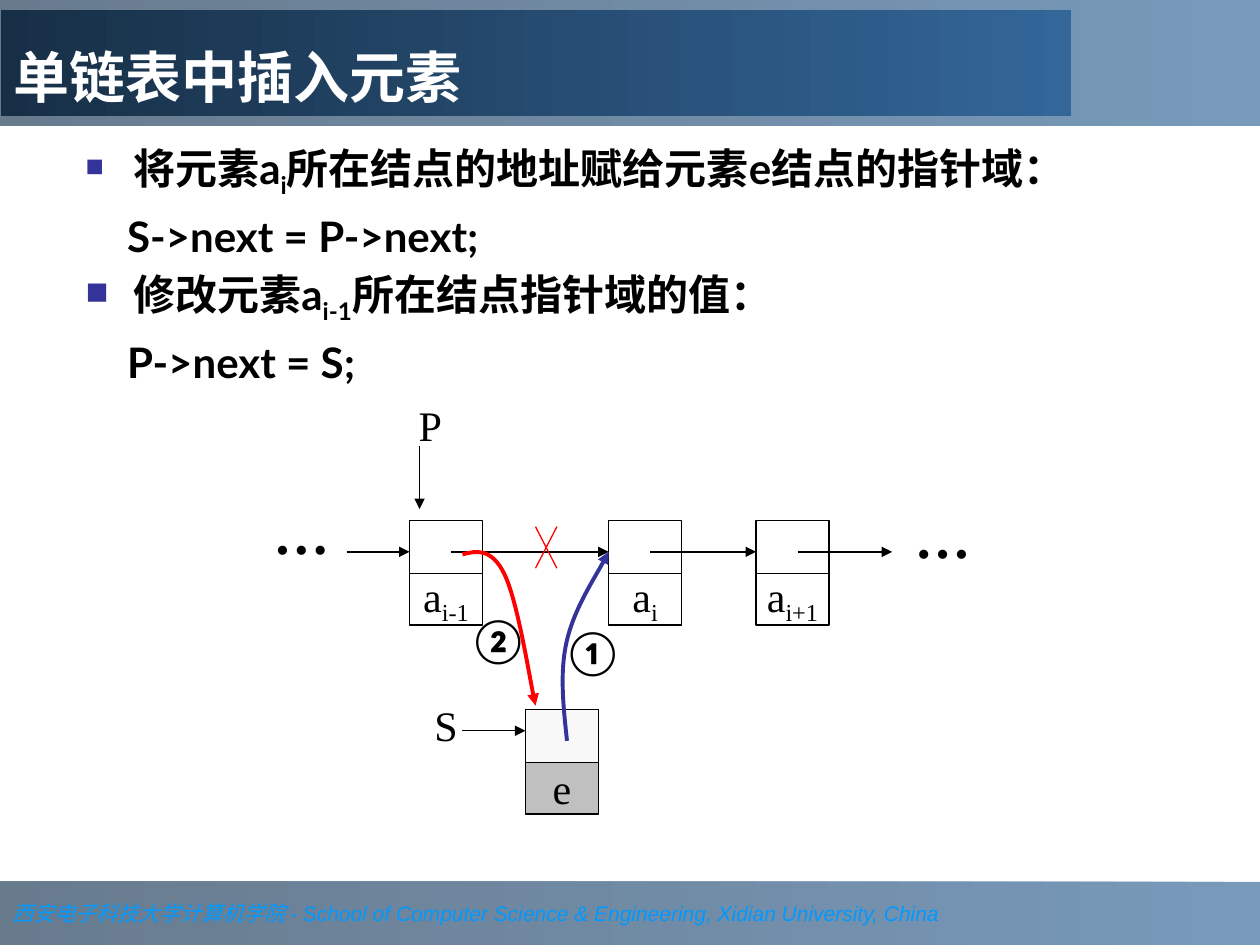
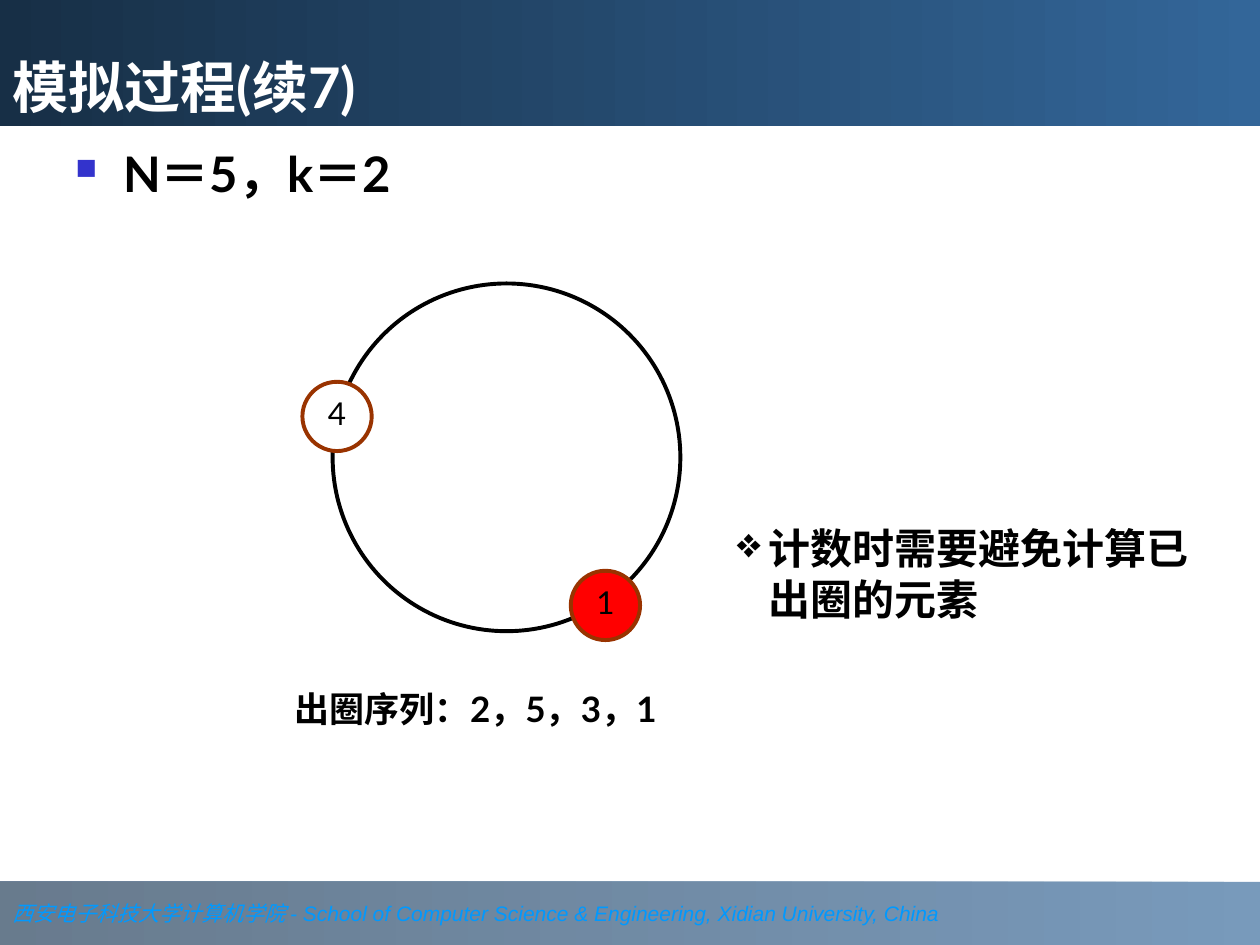
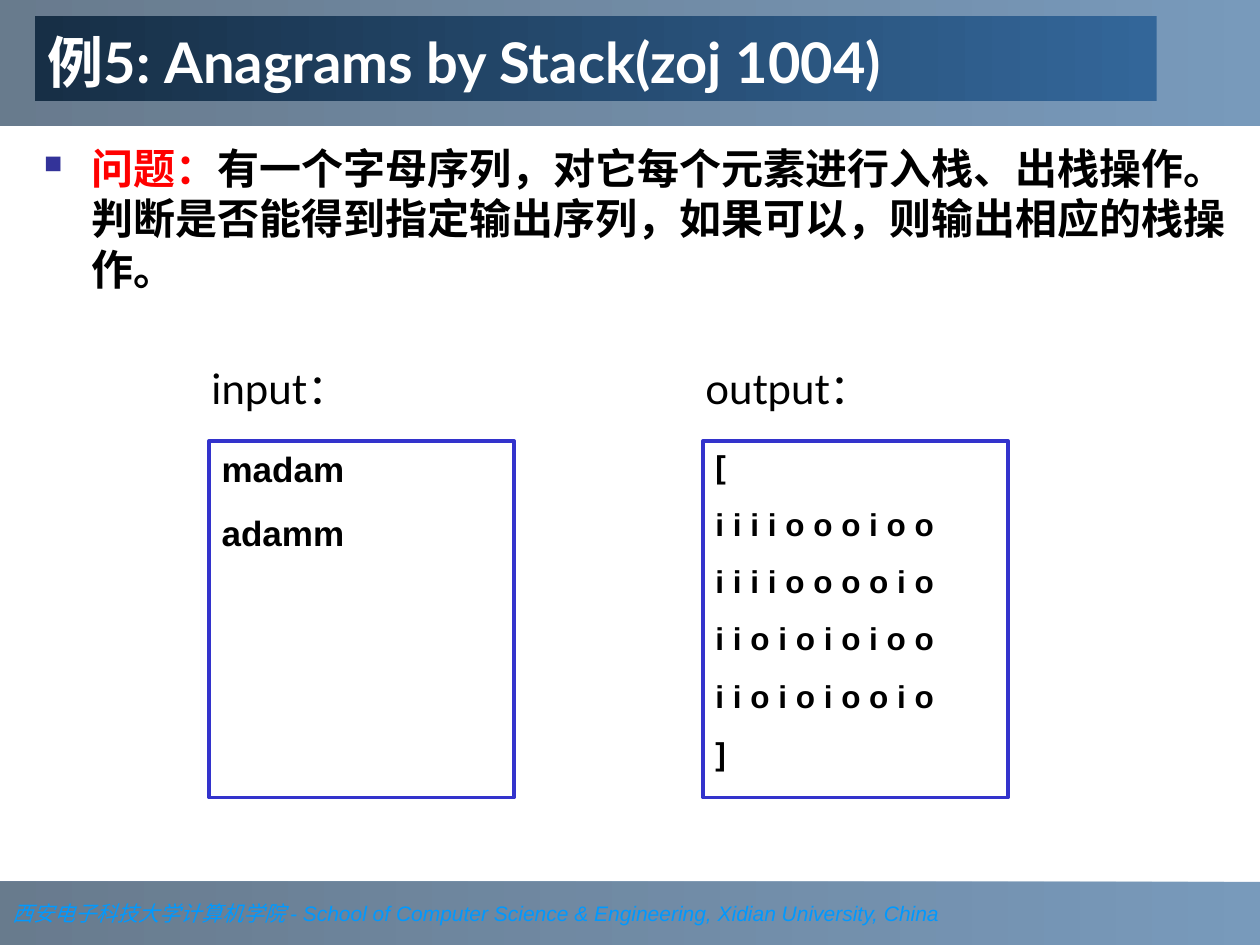
"""Build three data-structure slides: list insertion, a counting circle and a stack exercise."""

from dataclasses import dataclass
from typing import NamedTuple, Optional

from lxml import etree
from pptx import Presentation
from pptx.dml.color import RGBColor
from pptx.enum.shapes import MSO_CONNECTOR, MSO_SHAPE
from pptx.enum.text import MSO_ANCHOR, PP_ALIGN
from pptx.oxml.ns import qn
from pptx.util import Inches, Pt

RECT, OVAL = MSO_SHAPE.RECTANGLE, MSO_SHAPE.OVAL
STRAIGHT = MSO_CONNECTOR.STRAIGHT
TOP, MIDDLE, BOTTOM = MSO_ANCHOR.TOP, MSO_ANCHOR.MIDDLE, MSO_ANCHOR.BOTTOM
LEFT, CENTER = PP_ALIGN.LEFT, PP_ALIGN.CENTER


@dataclass(frozen=True)
class Theme:
    """Colours, fonts, type sizes and line widths of the deck."""

    ink: str = "000000"
    white: str = "FFFFFF"
    band_light: str = "336699"
    band_dark: str = "1B3753"
    title_dark: str = "172F46"
    footer: str = "0099FF"
    indigo: str = "333399"
    blue: str = "3333CC"
    red: str = "FF0000"
    brown: str = "993300"
    new_pointer: str = "F8F8F8"
    new_data: str = "C0C0C0"
    sans: str = "Lato"
    serif: str = "Times New Roman"
    mono_like: str = "Arial"
    title_size: int = 32
    lead_size: int = 28
    body_size: int = 24
    note_size: int = 20
    small_size: int = 18
    footer_size: int = 12
    thin: float = 0.75
    thick: float = 2.25
    band_opacity: int = 66


THEME = Theme()


class Box(NamedTuple):
    """Left, top, width and height in inches."""

    left: float
    top: float
    width: float
    height: float


class Point(NamedTuple):
    """A position in inches."""

    x: float
    y: float


@dataclass(frozen=True)
class Style:
    """Type style of a block of text."""

    size: int = THEME.body_size
    font: str = THEME.sans
    bold: bool = False
    italic: bool = False
    color: str = THEME.ink


@dataclass(frozen=True)
class Span:
    """A stretch of text with its departures from the block style."""

    text: str
    color: Optional[str] = None
    font: Optional[str] = None
    baseline: int = 0


@dataclass(frozen=True)
class Bullet:
    """A bullet sign with its colour and size in percent."""

    color: str
    percent: int = 60
    sign: str = "■"


@dataclass(frozen=True)
class Para:
    """A paragraph with its bullet, indents and spacing."""

    spans: tuple[Span, ...]
    bullet: Optional[Bullet] = None
    margin: float = 0
    hanging: float = 0
    before: float = 0
    spacing: float = 1
    align: PP_ALIGN = LEFT


TITLE = Style(THEME.title_size, bold=True, color=THEME.white)
BODY = Style(bold=True)
LEAD = Style(THEME.lead_size, bold=True)
NOTE = Style(THEME.note_size, bold=True)
LABEL = Style()
SERIF = Style(font=THEME.serif)
SERIF_BOLD = Style(font=THEME.serif, bold=True)
DOTS = Style(THEME.title_size, THEME.serif, bold=True)
PERSON = Style(THEME.small_size)
FOOTER = Style(THEME.footer_size, THEME.serif, italic=True, color=THEME.footer)


def plain(text: str, **options) -> Para:
    """Return a paragraph of one span."""
    return Para((Span(text),), **options)


def item(*spans: Span, bullet: Bullet) -> Para:
    """Return a bulleted body paragraph."""
    return Para(spans, bullet, margin=0.38, hanging=0.38)


def place(box: Box) -> list[Inches]:
    """Return a box as lengths."""
    return [Inches(side) for side in box]


def add_bullet(paragraph, bullet: Bullet) -> None:
    """Give a paragraph a coloured bullet."""
    props = paragraph._p.get_or_add_pPr()
    color = etree.SubElement(props, qn("a:buClr"))
    etree.SubElement(color, qn("a:srgbClr"), val=bullet.color)
    etree.SubElement(props, qn("a:buSzPct"), val=str(bullet.percent * 1000))
    etree.SubElement(props, qn("a:buChar"), char=bullet.sign)


def write(shape, paras: list[Para], style: Style, anchor=TOP, wrap: bool = True,
          inset: tuple[float, float] = (0.1, 0.05)) -> None:
    """Fill a shape with styled paragraphs."""
    frame = shape.text_frame
    frame.word_wrap = wrap
    frame.vertical_anchor = anchor
    frame.margin_left = frame.margin_right = Inches(inset[0])
    frame.margin_top = frame.margin_bottom = Inches(inset[1])
    for index, para in enumerate(paras):
        paragraph = frame.add_paragraph() if index else frame.paragraphs[0]
        paragraph.alignment = para.align
        paragraph.line_spacing = para.spacing
        if index:
            paragraph.space_before = Pt(para.before)
        props = paragraph._p.get_or_add_pPr()
        props.set("marL", str(Inches(para.margin)))
        props.set("indent", str(Inches(-para.hanging)))
        if para.bullet:
            add_bullet(paragraph, para.bullet)
        for span in para.spans:
            run = paragraph.add_run()
            run.text = span.text
            run.font.size = Pt(style.size)
            run.font.name = span.font or style.font
            run.font.bold = style.bold
            run.font.italic = style.italic
            run.font.color.rgb = RGBColor.from_string(span.color or style.color)
            if span.baseline:
                run._r.get_or_add_rPr().set("baseline", str(span.baseline * 1000))


def add_text(slide, box: Box, paras: list[Para], style: Style, **options) -> None:
    """Add a text box."""
    write(slide.shapes.add_textbox(*place(box)), paras, style, **options)


def set_line(shape, color: str, width: float, arrow: bool = False) -> None:
    """Set a line's colour, width and arrowhead."""
    shape.line.color.rgb = RGBColor.from_string(color)
    shape.line.width = Pt(width)
    if arrow:
        outline = next(shape.element.iter(qn("a:ln")))
        etree.SubElement(outline, qn("a:tailEnd"), type="triangle")


def add_outlined(slide, kind: MSO_SHAPE, box: Box, fill: Optional[str],
                 line: str, width: float):
    """Add an outlined shape, hollow when it has no fill."""
    shape = slide.shapes.add_shape(kind, *place(box))
    shape.shadow.inherit = False
    if fill:
        shape.fill.solid()
        shape.fill.fore_color.rgb = RGBColor.from_string(fill)
    else:
        shape.fill.background()
    set_line(shape, line, width)
    return shape


def add_band(slide, box: Box, dark: str, opacity: int = 100):
    """Add a band that runs from dark on the left to light on the right."""
    band = slide.shapes.add_shape(RECT, *place(box))
    band.shadow.inherit = False
    band.line.fill.background()
    band.fill.gradient()
    band.fill.gradient_angle = 180
    for stop, color in zip(band.fill.gradient_stops, (THEME.band_light, dark)):
        stop.color.rgb = RGBColor.from_string(color)
    if opacity < 100:
        for color in band.element.spPr.iter(qn("a:srgbClr")):
            etree.SubElement(color, qn("a:alpha"), val=str(opacity * 1000))
    return band


def add_line(slide, start: Point, end: Point, color: str = THEME.ink,
             arrow: bool = True) -> None:
    """Add a thin straight line, with an arrowhead unless told otherwise."""
    line = slide.shapes.add_connector(STRAIGHT, *place(start + end))
    set_line(line, color, THEME.thin, arrow)
    etree.SubElement(line.element.spPr, qn("a:effectLst"))


def add_curve(slide, points: list[Point], color: str) -> None:
    """Add a curved arrow from a start point and triples of Bezier points."""
    start, *controls = [(Inches(p.x), Inches(p.y)) for p in points]
    builder = slide.shapes.build_freeform(*start)
    builder.add_line_segments(controls, close=False)
    curve = builder.convert_to_shape()
    curve.shadow.inherit = False
    curve.fill.background()
    outline = next(curve.element.iter(qn("a:path")))
    steps = outline.findall(qn("a:lnTo"))
    for first in range(0, len(steps), 3):
        bezier = etree.SubElement(outline, qn("a:cubicBezTo"))
        for step in steps[first:first + 3]:
            bezier.append(step[0])
            outline.remove(step)
    set_line(curve, color, THEME.thick, arrow=True)


def new_slide(deck, title: str, title_box: Box):
    """Add a slide with its footer, top band and title."""
    slide = deck.slides.add_slide(deck.slide_layouts[6])
    footer = add_band(slide, Box(0, 7, 10, 0.5), THEME.band_dark, THEME.band_opacity)
    school = Para((
        Span("西安电子科技大学计算机学院 "),
        Span("- School of Computer Science & Engineering, Xidian University, China",
             font=THEME.mono_like),
    ))
    write(footer, [school], FOOTER, anchor=MIDDLE)
    add_band(slide, Box(0, 0, 10, 1), THEME.band_dark, THEME.band_opacity)
    heading = add_band(slide, title_box, THEME.title_dark)
    write(heading, [plain(title)], TITLE, anchor=BOTTOM)
    return slide


def add_node(slide, corner: Point, label: tuple[Span, ...],
             pointer_fill: str = THEME.white, data_fill: str = THEME.white) -> None:
    """Add a list node: a pointer cell above a data cell."""
    width, height, step = 0.58, 0.42, 0.41
    data = add_outlined(slide, RECT, Box(corner.x, corner.y + step, width, height),
                        data_fill, THEME.ink, THEME.thin)
    write(data, [Para(label, align=CENTER)], SERIF, anchor=MIDDLE, wrap=False)
    add_outlined(slide, RECT, Box(*corner, width, height),
                 pointer_fill, THEME.ink, THEME.thin)


def build_insertion(deck) -> None:
    """Build the slide on inserting into a linked list."""
    slide = new_slide(deck, "单链表中插入元素", Box(0.01, 0.08, 8.49, 0.84))
    steps = [
        ("将元素a", "i", "所在结点的地址赋给元素e结点的指针域：", "S->next = P->next;", 60),
        ("修改元素a", "i-1", "所在结点指针域的值：", "P->next = S;", 75),
    ]
    for index, (before, subscript, after, code, percent) in enumerate(steps):
        sentence = item(Span(before), Span(subscript, baseline=-25), Span(after),
                        bullet=Bullet(THEME.indigo, percent))
        add_text(slide, Box(0.58, 1.08 + index, 8.82, 1.08),
                 [sentence, plain(code, margin=0.33, before=6)], BODY)

    node_top, link_y, link_offset = 4.13, 4.38, 0.33
    nodes = {"i-1": 3.25, "i": 4.83, "i+1": 6.0}
    for subscript, left in nodes.items():
        add_node(slide, Point(left, node_top),
                 (Span("a"), Span(subscript, baseline=-20)))
    lefts = list(nodes.values())
    starts = [2.75] + [left + link_offset for left in lefts]
    for start, end in zip(starts, lefts + [7.08]):
        add_line(slide, Point(start, link_y), Point(end, link_y))
    for left, top in ((1.58, 3.96), (6.67, 3.99)):
        add_text(slide, Box(left, top, 1.17, 0.53), [plain("…", margin=0.59)],
                 DOTS, inset=(0, 0))

    add_node(slide, Point(4.17, 5.63), (Span("e"),), THEME.new_pointer, THEME.new_data)
    for name, box in (("P", Box(3, 3.17, 0.83, 0.46)), ("S", Box(3.25, 5.55, 0.58, 0.46))):
        add_text(slide, box, [plain(name, spacing=0.9, align=CENTER)], SERIF)
    add_line(slide, Point(3.33, 3.54), Point(3.33, 4.04))
    add_line(slide, Point(3.67, 5.8), Point(4.17, 5.8))

    add_curve(slide, [Point(4.5, 5.88), Point(4.47, 5.6), Point(4.44, 5.33),
                      Point(4.5, 5.08), Point(4.56, 4.83), Point(4.78, 4.49),
                      Point(4.83, 4.38)], THEME.indigo)
    add_curve(slide, [Point(3.67, 4.4), Point(3.78, 4.37), Point(3.9, 4.35),
                      Point(4, 4.55), Point(4.1, 4.75), Point(4.21, 5.42),
                      Point(4.25, 5.6)], THEME.red)
    for start_x, end_x in ((4.42, 4.25), (4.25, 4.42)):
        add_line(slide, Point(start_x, 4.18), Point(end_x, 4.51), THEME.red, arrow=False)
    for number, box in (("②", Box(3.67, 4.83, 0.58, 0.5)), ("①", Box(4.42, 4.92, 0.5, 0.5))):
        add_text(slide, box, [plain(number)], BODY)


def build_circle(deck) -> None:
    """Build the slide on the counting-out circle."""
    slide = new_slide(deck, "模拟过程(续7)", Box(0, 0, 10, 1))
    add_text(slide, Box(0.5, 1.09, 9, 0.92),
             [item(Span("N＝5，k＝2"), bullet=Bullet(THEME.blue))], LEAD)
    add_outlined(slide, OVAL, Box(2.64, 2.25, 2.76, 2.76), None, THEME.ink, THEME.thick)
    people = [("1", Point(4.53, 4.53), THEME.red), ("4", Point(2.4, 3.03), THEME.white)]
    for number, corner, fill in people:
        person = add_outlined(slide, OVAL, Box(*corner, 0.55, 0.55), fill,
                              THEME.brown, THEME.thick)
        write(person, [plain(number, spacing=0.8, align=CENTER)], PERSON,
              anchor=MIDDLE, wrap=False)
    add_text(slide, Box(2.24, 5.47, 3.62, 0.37),
             [plain("出圈序列：2，5，3，1", spacing=0.8)], NOTE)
    reminder = plain("计数时需要避免计算已出圈的元素", margin=0.25, hanging=0.25,
                     bullet=Bullet(THEME.ink, 100, "❖"))
    add_text(slide, Box(5.75, 4.1, 3.92, 0.9), [reminder], SERIF_BOLD)


def build_anagrams(deck) -> None:
    """Build the slide on anagrams by stack."""
    slide = new_slide(deck, "例5: Anagrams by Stack(zoj 1004)", Box(0.28, 0.13, 8.9, 0.67))
    problem = item(
        Span("问题：", THEME.red),
        Span("有一个字母序列，对它每个元素进行入栈、出栈操作。"
             "判断是否能得到指定输出序列，如果可以，则输出相应的栈操作。"),
        bullet=Bullet(THEME.indigo),
    )
    add_text(slide, Box(0.25, 1.08, 9.67, 1.5), [problem], BODY)
    samples = [
        ("input：", 1.58, THEME.note_size, 12.5, ["madam", "adamm"]),
        ("output：", 5.5, THEME.small_size, 11.2,
         ["[", "i i i i o o o i o o", "i i i i o o o o i o",
          "i i o i o i o i o o", "i i o i o i o o i o", "]"]),
    ]
    for heading, left, size, before, rows in samples:
        add_text(slide, Box(left, 2.83, 1.92, 0.5), [plain(heading)], LABEL)
        listing = add_outlined(slide, RECT, Box(left + 0.08, 3.5, 2.42, 2.83), None,
                               THEME.blue, THEME.thick)
        write(listing, [plain(row, before=before) for row in rows],
              Style(size, THEME.mono_like, bold=True))


def main() -> None:
    """Build and save the deck."""
    deck = Presentation()
    deck.slide_width, deck.slide_height = Inches(10), Inches(7.5)
    build_insertion(deck)
    build_circle(deck)
    build_anagrams(deck)
    deck.save("out.pptx")


if __name__ == "__main__":
    main()
